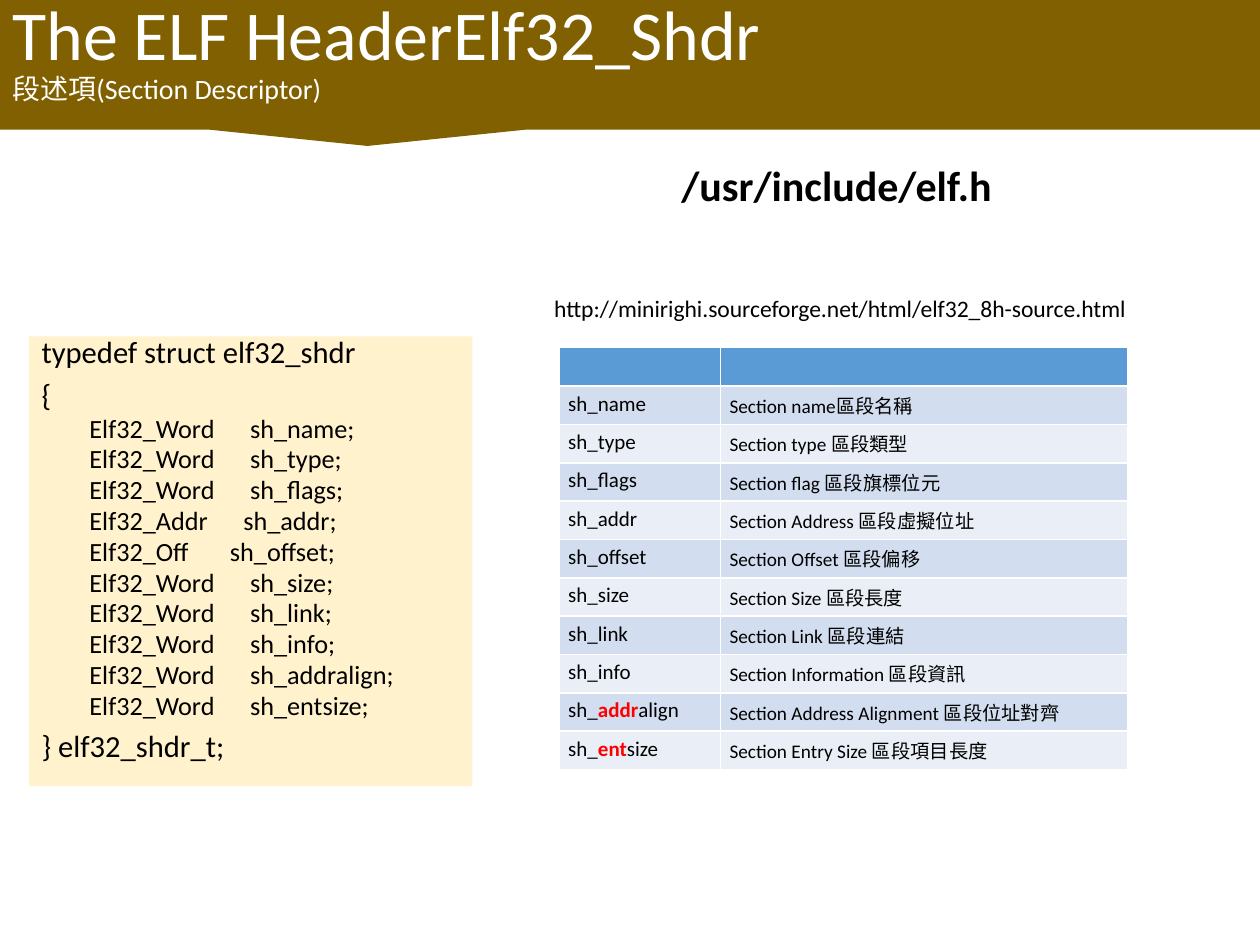
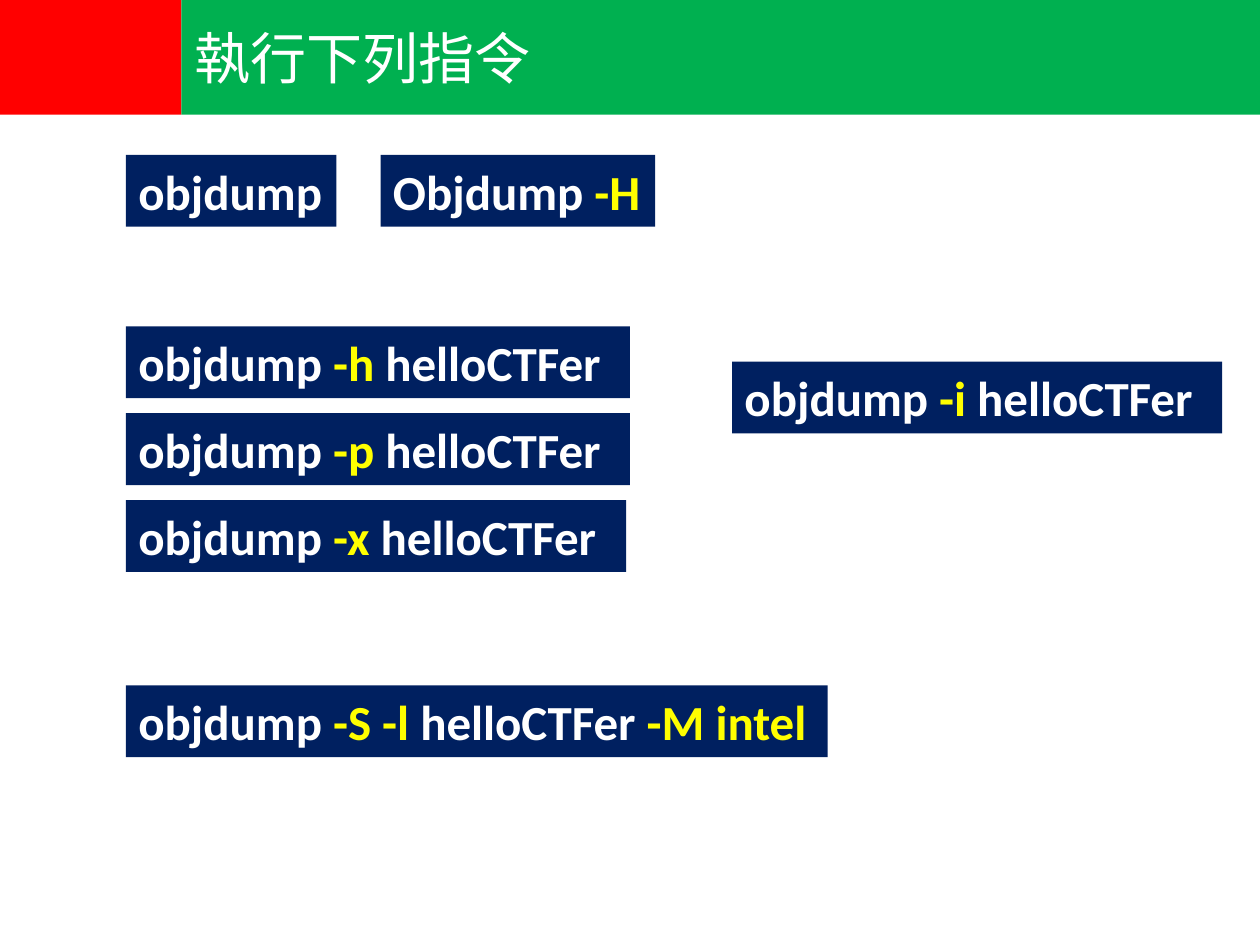
from pptx import Presentation
from pptx.dml.color import RGBColor
from pptx.enum.shapes import MSO_SHAPE
from pptx.enum.text import MSO_ANCHOR, MSO_AUTO_SIZE, PP_ALIGN
from pptx.oxml.ns import qn
from pptx.util import Inches, Pt
from lxml import etree

FONT = "Calibri"
WHITE = RGBColor(0xFF, 0xFF, 0xFF)
BLACK = RGBColor(0x00, 0x00, 0x00)
BROWN = RGBColor(0x80, 0x60, 0x00)
CREAM = RGBColor(0xFF, 0xF2, 0xCC)
RED = RGBColor(0xFF, 0x00, 0x00)
GREEN = RGBColor(0x00, 0xB0, 0x50)
NAVY = RGBColor(0x00, 0x20, 0x60)
YELLOW = RGBColor(0xFF, 0xFF, 0x00)
BLUE = RGBColor(0x5B, 0x9B, 0xD5)
PALE = RGBColor(0xD2, 0xDE, 0xEF)
LIGHT = RGBColor(0xEA, 0xEF, 0xF7)

RECT, CALLOUT = MSO_SHAPE.RECTANGLE, MSO_SHAPE.RECTANGULAR_CALLOUT
TOP, MIDDLE = MSO_ANCHOR.TOP, MSO_ANCHOR.MIDDLE
FIXED, LEFT = MSO_AUTO_SIZE.NONE, PP_ALIGN.LEFT

# Content: in split texts, every second part is highlighted
HEADER = [("The ELF HeaderElf32_Shdr", 40), ("段述項(Section Descriptor)", 16)]
NOTES = [("/usr/include/elf.h", (5.31, 1.22, 2.69, 0.5), 24, True),
         ("http://minirighi.sourceforge.net/html/elf32_8h-source.html",
          (4.3, 2.28, 4.82, 0.33), 13.5, False)]
FIELDS = [
    ("Elf32_Word", ["sh_name"], "Section name區段名稱"),
    ("Elf32_Word", ["sh_type"], "Section type 區段類型"),
    ("Elf32_Word", ["sh_flags"], "Section flag 區段旗標位元"),
    ("Elf32_Addr", ["sh_addr"], "Section Address 區段虛擬位址"),
    ("Elf32_Off", ["sh_offset"], "Section Offset 區段偏移"),
    ("Elf32_Word", ["sh_size"], "Section Size 區段長度"),
    ("Elf32_Word", ["sh_link"], "Section Link 區段連結"),
    ("Elf32_Word", ["sh_info"], "Section Information 區段資訊"),
    ("Elf32_Word", ["sh_", "addr", "align"], "Section Address Alignment 區段位址對齊"),
    ("Elf32_Word", ["sh_", "ent", "size"], "Section Entry Size 區段項目長度"),
]
CODE = [("typedef struct elf32_shdr", 0), ("{", 0),
        *((f"{kind:<16}{''.join(name)};", 1) for kind, name, _ in FIELDS),
        ("} elf32_shdr_t;", 0)]

TASK = [("執行下列指令", 32)]
COMMANDS = [  # left, top, width, parts
    (1, 1.23, 1.67, ["objdump"]),
    (3.02, 1.23, 2.18, ["Objdump ", "-H"]),
    (1, 2.59, 4, ["objdump ", "-h ", "helloCTFer"]),
    (1, 3.28, 4, ["objdump ", "-p ", "helloCTFer"]),
    (1, 3.97, 3.97, ["objdump ", "-x ", "helloCTFer"]),
    (5.81, 2.87, 3.89, ["objdump ", "-i ", "helloCTFer"]),
    (1, 5.44, 5.57, ["objdump ", "-S -l ", "helloCTFer ", "-M intel"]),
]


def place(shape, box):
    shape.left, shape.top, shape.width, shape.height = map(Inches, box)


def style(par, size, color, bold=False):
    font = par.font
    font.name, font.size, font.bold = FONT, Pt(size), bold
    font.color.rgb = color


def mix(par, parts, color):
    """Add runs; every second one is bold and coloured."""
    for i, part in enumerate(parts):
        run = par.add_run()
        run.text = part
        if i % 2:
            run.font.bold = True
            run.font.color.rgb = color


def set_title(slide, lines, box, anchor):
    title = slide.shapes.title
    place(title, box)
    frame = title.text_frame
    frame.auto_size, frame.word_wrap = FIXED, True
    frame.vertical_anchor = anchor
    frame.margin_top = frame.margin_bottom = 0
    frame.text = "\n".join(text for text, _ in lines)
    for par, (_, size) in zip(frame.paragraphs, lines):
        par.alignment = LEFT
        par.line_spacing = 0.9 if len(lines) > 1 else 1.0
        style(par, size, WHITE)
    return title


def add_band(slide, kind, box, color):
    """Draw a plain band behind the title."""
    band = slide.shapes.add_shape(kind, *map(Inches, box))
    band.shadow.inherit = False
    band.fill.solid()
    band.fill.fore_color.rgb = color
    band.line.fill.background()
    slide.shapes.title.element.addprevious(band.element)


def add_text(slide, box, parts, size, color, bold, accent=YELLOW):
    shape = slide.shapes.add_textbox(*map(Inches, box))
    frame = shape.text_frame
    frame.auto_size, frame.word_wrap = FIXED, True
    frame.margin_right = 0
    par = frame.paragraphs[0]
    mix(par, parts, accent)
    style(par, size, color, bold)
    return shape


def add_code(slide):
    body = slide.placeholders[1]
    place(body, (0.23, 2.67, 3.52, 3.57))
    body.fill.solid()
    body.fill.fore_color.rgb = CREAM
    frame = body.text_frame
    frame.auto_size = FIXED
    frame.text = "\n".join(line for line, _ in CODE)
    for i, (par, (_, level)) in enumerate(zip(frame.paragraphs, CODE)):
        par.level = level
        par.line_spacing = 0.7
        par.space_before = Pt((10, 5)[level] if i else 0)
        props = par._p.get_or_add_pPr()
        props.set("marL", str(Inches(0.38 * level)))
        props.set("indent", "0")
        etree.SubElement(props, qn("a:buNone"))
        style(par, (17.5, 15)[level], BLACK)


def add_fields(slide):
    rows = [([], [])] + [(name, [note]) for _, name, note in FIELDS]
    table = slide.shapes.add_table(
        len(rows), 2, *map(Inches, (4.44, 2.76, 4.5, 3.35))).table
    for col, width in zip(table.columns, (1.28, 3.23)):
        col.width = Inches(width)
    for r, row in enumerate(rows):
        for c, parts in enumerate(row):
            cell = table.cell(r, c)
            cell.margin_left = cell.margin_right = Inches(0.07)
            cell.margin_top = cell.margin_bottom = Inches(0.04)
            cell.fill.solid()
            cell.fill.fore_color.rgb = (LIGHT, PALE)[r % 2] if r else BLUE
            par = cell.text_frame.paragraphs[0]
            mix(par, parts, RED)
            style(par, (12, 11)[c], BLACK)


def main():
    prs = Presentation()
    prs.slide_width, prs.slide_height = Inches(10), Inches(7.5)

    # Section descriptor
    slide = prs.slides.add_slide(prs.slide_layouts[1])
    band = (0, 0, 10, 1.03)
    set_title(slide, HEADER, band, TOP)
    add_band(slide, CALLOUT, band, BROWN)
    add_code(slide)
    for text, box, size, bold in NOTES:
        add_text(slide, box, [text], size, BLACK, bold)
    add_fields(slide)

    # Commands to run
    slide = prs.slides.add_slide(prs.slide_layouts[5])
    title = set_title(slide, TASK, (1.44, 0, 8.56, 0.91), MIDDLE)
    title.fill.solid()
    title.fill.fore_color.rgb = GREEN
    add_band(slide, RECT, (0, 0, 1.44, 0.91), RED)
    for left, top, width, parts in COMMANDS:
        label = add_text(slide, (left, top, width, 0.57), parts, 28, WHITE, True)
        label.fill.solid()
        label.fill.fore_color.rgb = NAVY

    prs.save("out.pptx")


if __name__ == "__main__":
    main()
